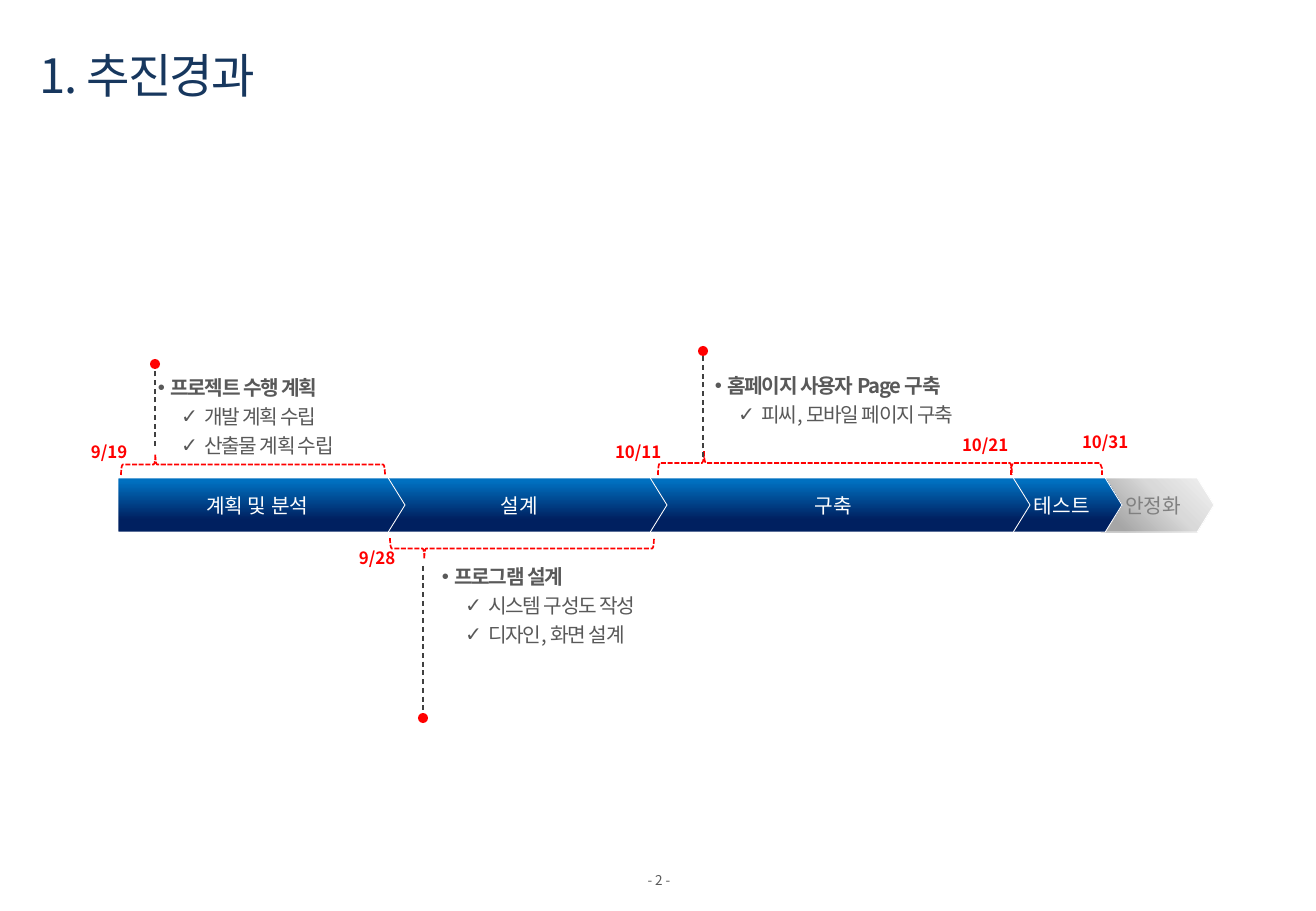
from dataclasses import dataclass
from lxml.etree import SubElement
from pptx import Presentation
from pptx.dml.color import RGBColor
from pptx.enum.dml import MSO_LINE
from pptx.enum.shapes import MSO_CONNECTOR, MSO_SHAPE
from pptx.enum.text import MSO_ANCHOR, MSO_AUTO_SIZE, PP_ALIGN
from pptx.oxml.ns import qn
from pptx.util import Pt

SCALE = 914400 / 121.5


@dataclass(frozen=True)
class Theme:
    font: str = "Noto Sans CJK KR"
    title: str = "17375E"
    body: str = "595959"
    stem: str = "404040"
    mark: str = "FF0000"
    white: str = "FFFFFF"
    mute: str = "808080"
    blue: tuple = ((23, "002060"), (94, "0070C0"))
    grey: tuple = ((0, "F2F2F2"), (42, "D9D9D9"), (86, "A6A6A6"))
    head: int = 28
    text: int = 12
    date: int = 10
    page: int = 8


THEME = Theme()


def px(n):
    return round(n * SCALE)


def rgb(code):
    return RGBColor.from_string(code)


def place(shape, box):
    shape.left, shape.top, shape.width, shape.height = map(px, box)


def add_run(para, text, size, color, bold=False, gap=0):
    run = para.add_run()
    run.text = text
    font = run.font
    font.name, font.size, font.bold = THEME.font, Pt(size), bold
    font.color.rgb = rgb(color)
    props = run._r.get_or_add_rPr()
    SubElement(props, qn("a:ea")).set("typeface", THEME.font)
    if gap:
        props.set("spc", str(round(gap * 100)))


def set_frame(frame, anchor, pads=(12, 6, 12, 6), wrap=True):
    frame.word_wrap, frame.auto_size = wrap, MSO_AUTO_SIZE.NONE
    frame.vertical_anchor = anchor
    (frame.margin_left, frame.margin_top,
     frame.margin_right, frame.margin_bottom) = map(px, pads)


def shade(shape, stops, angle):
    fill = SubElement(shape._element.spPr, qn("a:gradFill"))
    group = SubElement(fill, qn("a:gsLst"))
    for pos, code in stops:
        stop = SubElement(group, qn("a:gs"), pos=str(pos * 1000))
        SubElement(stop, qn("a:srgbClr"), val=code)
    SubElement(fill, qn("a:lin"), ang=str(angle * 60000), scaled="0")


def dash(shape, color, width, style):
    shape.line.color.rgb = rgb(color)
    shape.line.width = Pt(width)
    shape.line.dash_style = style


# Title and page number
def add_title(slide, box):
    title = slide.shapes.title
    place(title, box)
    set_frame(title.text_frame, MSO_ANCHOR.MIDDLE, (0, 0, 10, 0))
    para = title.text_frame.paragraphs[0]
    para.alignment = PP_ALIGN.LEFT
    add_run(para, "1. 추진경과", THEME.head, THEME.title, gap=-1)


def add_page(slide, box):
    frame = slide.shapes.add_textbox(*map(px, box)).text_frame
    set_frame(frame, MSO_ANCHOR.MIDDLE, (0, 0, 0, 0))
    para = frame.paragraphs[0]
    para.alignment = PP_ALIGN.CENTER
    add_run(para, "- 2 -", THEME.page, THEME.body)


# Row of phase arrows, each one lying over the next
def add_road(slide, box):
    left, top, _, high = box
    phases = [(0, 287, "계획 및 분석"), (262, 287, "설계"), (527, 385, "구축"),
              (892, 112, "테스트"), (983, 113, "안정화")]
    for x, wide, name in reversed(phases):
        last = name == phases[-1][2]
        arrow = slide.shapes.add_shape(
            MSO_SHAPE.PENTAGON, *map(px, (left + x, top, wide, high)))
        arrow.adjustments[0] = 0.31
        shade(arrow, *((THEME.grey, 135) if last else (THEME.blue, 270)))
        arrow.line.color.rgb = rgb(THEME.white)
        arrow.line.width = Pt(0.5)
        arrow.shadow.inherit = False
        set_frame(arrow.text_frame, MSO_ANCHOR.MIDDLE,
                  (0, 0, 0, 0) if last else (12, 6, 12, 6))
        para = arrow.text_frame.paragraphs[0]
        para.alignment = PP_ALIGN.CENTER
        add_run(para, name, THEME.text, THEME.mute if last else THEME.white)


# Dashed brace over or under a phase
def add_brace(slide, box, down):
    x, y, wide, high = box
    brace = slide.shapes.add_shape(MSO_SHAPE.RIGHT_BRACE, *map(
        px, (x + (wide - high) / 2, y + (high - wide) / 2, high, wide)))
    brace.adjustments[0], brace.adjustments[1] = 0.08, 0.13
    brace.rotation = 90 if down else 270
    if down:
        brace._element.spPr.find(qn("a:xfrm")).set("flipV", "1")
    brace.fill.background()
    brace.shadow.inherit = False
    dash(brace, THEME.mark, 1, MSO_LINE.SQUARE_DOT)


# Dashed stem that ends in a dot
def add_stem(slide, x, start, end):
    stem = slide.shapes.add_connector(
        MSO_CONNECTOR.STRAIGHT, px(x), px(start), px(x), px(end))
    dash(stem, THEME.stem, 0.75, MSO_LINE.DASH)
    SubElement(stem._element.spPr, qn("a:effectLst"))
    dot = slide.shapes.add_shape(
        MSO_SHAPE.OVAL, *map(px, (x - 5, end - 5, 10, 10)))
    dot.fill.solid()
    dot.fill.fore_color.rgb = rgb(THEME.mark)
    dot.line.fill.background()
    dot.shadow.inherit = False


# Plain bracket over the test phase
def add_hook(slide, box):
    x, y, wide, high = box
    right, base = x + wide, y + high
    pen = slide.shapes.build_freeform(x, base, scale=SCALE)
    pen.add_line_segments([(x, y + 5), (x + 2, y), (right - 2, y),
                           (right, y + 5), (right, base)], close=False)
    hook = pen.convert_to_shape()
    hook.fill.background()
    hook.shadow.inherit = False
    dash(hook, THEME.mark, 1, MSO_LINE.SQUARE_DOT)


# Date label
def add_date(slide, box, text):
    frame = slide.shapes.add_textbox(*map(px, box)).text_frame
    set_frame(frame, MSO_ANCHOR.TOP, wrap=False)
    add_run(frame.paragraphs[0], text, THEME.date, THEME.mark, True)


# Bulleted note with a bold first line
def add_note(holder, box, lines):
    place(holder, box)
    frame = holder.text_frame
    set_frame(frame, MSO_ANCHOR.TOP)
    for i, line in enumerate(lines):
        para = frame.add_paragraph() if i else frame.paragraphs[0]
        para.level = 1 if i else 0
        para.alignment, para.space_before = PP_ALIGN.LEFT, Pt(3)
        props = para._p.get_or_add_pPr()
        props.set("marL", str(px(46 if i else 12)))
        props.set("indent", str(px(-23 if i else -12)))
        SubElement(props, qn("a:buChar")).set("char", "✓" if i else "•")
        add_run(para, line, THEME.text, THEME.body, not i, -0.7)


# Whole timeline, laid out from the corner of its box
def add_plan(slide, box):
    left, top = box[:2]

    def move(x, y, wide, high):
        return left + x, top + y, wide, high

    add_road(slide, move(0, 134, 1096, 54))
    for spot, down in [((3, 110, 264, 21), False), ((272, 194, 264, 21), True),
                       ((540, 107, 354, 24), False)]:
        add_brace(slide, move(*spot), down)
    add_hook(slide, move(893, 119, 91, 12))
    for x, start, end in [(37, 102, 20), (305, 222, 374), (585, 113, 7)]:
        add_stem(slide, left + x, top + start, top + end)
    for x, y, text in [(-39, 92, "9/19"), (229, 198, "9/28"), (485, 92, "10/11"),
                       (832, 85, "10/21"), (952, 82, "10/31")]:
        add_date(slide, move(x, y, 62 if len(text) < 5 else 72, 33), text)
    notes = [
        ((28, 25, 219, 96), ["프로젝트 수행 계획", "개발 계획 수립", "산출물 계획 수립"]),
        ((312, 214, 238, 96), ["프로그램 설계", "시스템 구성도 작성", "디자인, 화면 설계"]),
        ((585, 23, 287, 67), ["홈페이지 사용자 Page 구축", "피씨, 모바일 페이지 구축"]),
    ]
    holders = list(slide.placeholders)[1:]
    for holder, (spot, lines) in zip(holders, notes):
        add_note(holder, move(*spot), lines)
    for spare in holders[len(notes):]:
        spare._element.getparent().remove(spare._element)


deck = Presentation()
deck.slide_width, deck.slide_height = px(1316), px(911)
page = deck.slides.add_slide(deck.slide_layouts[4])
add_title(page, (40, 52, 1270, 45))
add_plan(page, (118, 344, 1096, 380))
add_page(page, (603, 872, 112, 16))
deck.save("out.pptx")
